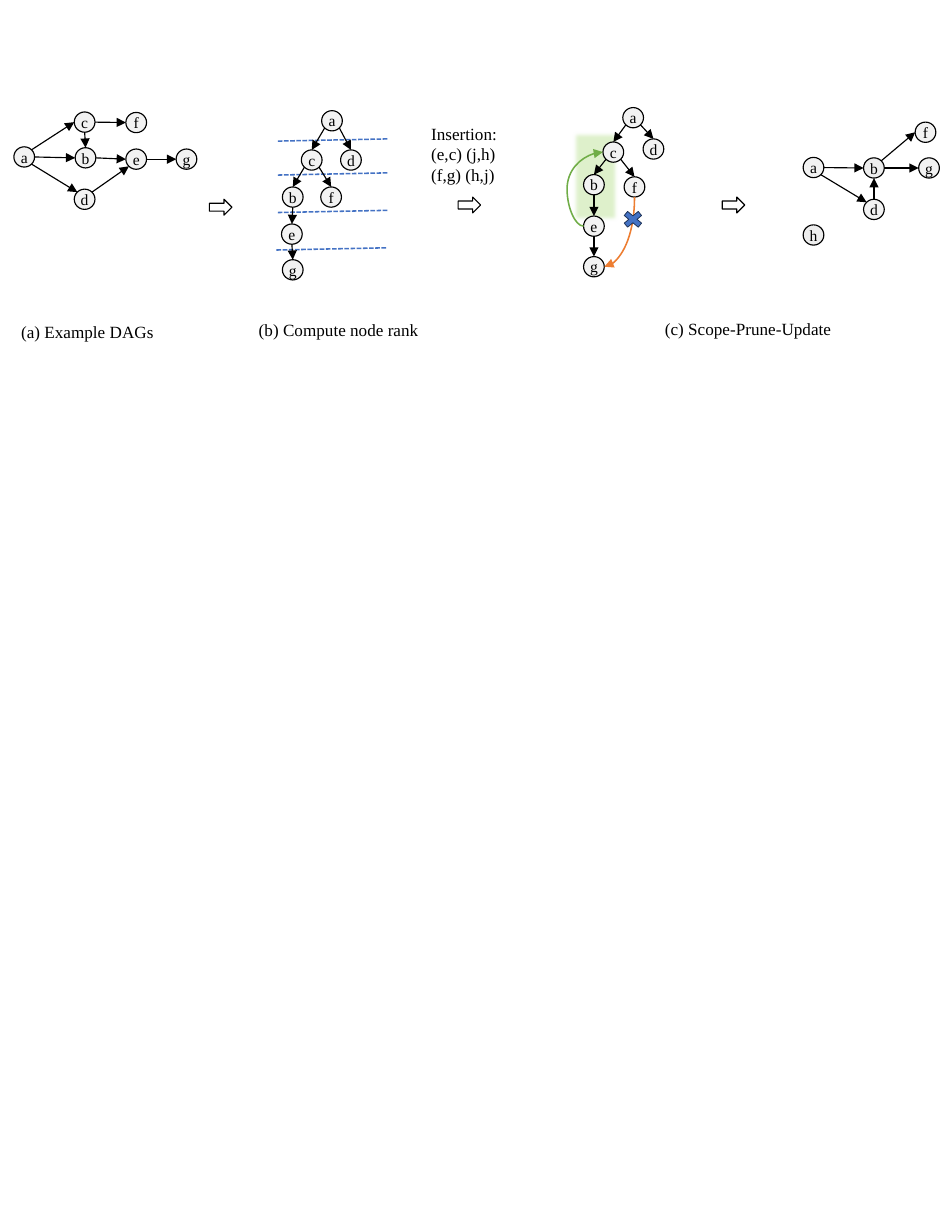
from math import cos, radians, sin

from lxml.etree import SubElement
from pptx import Presentation
from pptx.dml.color import RGBColor
from pptx.enum.dml import MSO_LINE
from pptx.enum.shapes import MSO_CONNECTOR, MSO_SHAPE
from pptx.enum.text import MSO_ANCHOR, PP_ALIGN
from pptx.oxml.ns import qn
from pptx.util import Cm, Pt

# Lengths are in centimetres; nodes are given by their centres.
FONT = "Times New Roman"
BLACK, NODE_GREY, DARK_GREY = "000000", "F2F2F2", "EDEDED"
BLUE, GREEN, ORANGE = "4472C4", "70AD47", "ED7D31"
NODE_W, NODE_H = 0.47, 0.46
ANGLES = {"E": 0, "SE": 45, "S": 90, "SW": 135, "W": 180, "NW": 225, "N": 270, "NE": 315}

TREE_EDGES = ["a SW c N", "a SE d N", "c SW b N", "c SE f N", "b S e N", "e S g N"]
DAG = {
    "nodes": {"a": (0.55, 3.56), "b": (1.94, 3.58), "c": (1.92, 2.77), "d": (1.92, 4.52),
              "e": (3.09, 3.61), "f": (3.09, 2.78), "g": (4.23, 3.61)},
    "edges": ["a NE c W", "a E b W", "a SE d NW", "c S b N", "c E f W",
              "b E e W", "d NE e SW", "e E g W"],
}
RANKED = {
    "nodes": {"a": (7.53, 2.74), "b": (6.64, 4.47), "c": (7.07, 3.63), "d": (7.96, 3.63),
              "e": (6.62, 5.31), "f": (7.51, 4.47), "g": (6.64, 6.12)},
    "edges": TREE_EDGES,
}
PRUNED = {
    "nodes": {"a": (14.36, 2.67), "b": (13.47, 4.19), "c": (13.91, 3.45), "d": (14.82, 3.38),
              "e": (13.47, 5.13), "f": (14.39, 4.24), "g": (13.47, 6.05)},
    "edges": TREE_EDGES,
}
UPDATED = {
    "nodes": {"a": (18.45, 3.8), "b": (19.82, 3.81), "d": (19.82, 4.75), "f": (20.99, 3.0),
              "g": (21.07, 3.81), "h": (18.45, 5.33)},
    "edges": ["a E b W", "a SE d NW", "b NE f W", "b E g W", "d N b S"],
    "dark": "bh",
}
RANK_LINES = [(6.3, 3.2), (6.3, 3.97), (6.3, 4.82), (6.27, 5.67)]
RANK_RUN, RANK_RISE = 2.49, 0.05
STEP_ARROWS = [(4.75, 4.52), (10.39, 4.47), (16.38, 4.47)]
SCOPE = [
    (14.33, 3.15), (13.79, 3.07), (13.56, 3.15), (13.39, 3.28), (13.21, 3.4), (13.06, 3.58),
    (12.95, 3.84), (12.88, 4.22), (12.85, 4.45), (12.85, 4.78), (12.93, 4.93), (13, 5.11),
    (13.16, 5.28), (13.34, 5.33), (13.61, 5.38), (13.74, 5.38), (13.87, 5.28), (13.92, 5.16),
    (13.91, 4.85), (13.92, 4.55), (14, 4.27), (14.1, 4.04), (14.22, 3.71), (14.33, 3.53),
    (14.38, 3.4), (14.38, 3.23),
]
TEXTS = [
    (["(a) Example DAGs"], (0.23, 7.16, 4.9, 0.74), PP_ALIGN.LEFT),
    (["(b) Compute node rank"], (4.85, 7.11, 5.66, 0.74), PP_ALIGN.CENTER),
    (["(c) Scope-Prune-Update"], (14.83, 7.09, 4.52, 0.74), PP_ALIGN.LEFT),
    (["Insertion:", "(e,c) (j,h)", "(f,g) (h,j)"], (9.53, 2.67, 2.11, 1.68), PP_ALIGN.LEFT),
]


def rgb(color):
    return RGBColor.from_string(color)


def cms(*values):
    return [Cm(value) for value in values]


def site(panel, node, side):
    """Point on the rim of a node in the given compass direction."""
    x, y = panel["nodes"][node]
    angle = radians(ANGLES[side])
    return x + NODE_W / 2 * cos(angle), y + NODE_H / 2 * sin(angle)


def add_line(shapes, start, end, color, width, kind=MSO_CONNECTOR.STRAIGHT, arrow=True):
    connector = shapes.add_connector(kind, *cms(*start, *end))
    connector.line.color.rgb = rgb(color)
    connector.line.width = Pt(width)
    if arrow:
        SubElement(connector.line._get_or_add_ln(), qn("a:tailEnd"), type="triangle")
    else:
        connector.line.dash_style = MSO_LINE.SQUARE_DOT
    SubElement(connector._element.spPr, qn("a:effectLst"))
    return connector


def style(shape, fill, line, width):
    shape.shadow.inherit = False
    if fill:
        shape.fill.solid()
        shape.fill.fore_color.rgb = rgb(fill)
    else:
        shape.fill.background()
    shape.line.color.rgb = rgb(line)
    shape.line.width = Pt(width)


def write(frame, lines, size, align):
    frame.word_wrap = True
    frame.text = "\n".join(lines)
    for paragraph in frame.paragraphs:
        paragraph.alignment = align
        paragraph.font.size = Pt(size)
        paragraph.font.name = FONT
        paragraph.font.color.rgb = rgb(BLACK)


def add_graph(slide, panel):
    shapes = slide.shapes.add_group_shape().shapes
    for edge in panel["edges"]:
        source, leave, target, enter = edge.split()
        add_line(shapes, site(panel, source, leave), site(panel, target, enter), BLACK, 0.75)
    for label, (x, y) in panel["nodes"].items():
        node = shapes.add_shape(
            MSO_SHAPE.OVAL, *cms(x - NODE_W / 2, y - NODE_H / 2, NODE_W, NODE_H))
        style(node, DARK_GREY if label in panel.get("dark", "") else NODE_GREY, BLACK, 0.75)
        frame = node.text_frame
        frame.margin_left = frame.margin_right = frame.margin_top = frame.margin_bottom = 0
        frame.vertical_anchor = MSO_ANCHOR.MIDDLE
        write(frame, [label], 10, PP_ALIGN.CENTER)


def add_scope(slide):
    """Pale green, see-through area with a soft rim around the affected nodes."""
    builder = slide.shapes.build_freeform(*SCOPE[0], scale=Cm(1))
    builder.add_line_segments(SCOPE[1:], close=True)
    scope = builder.convert_to_shape()
    style(scope, "92D050", DARK_GREY, 1)
    properties = scope._element.spPr
    SubElement(properties.find(".//" + qn("a:srgbClr")), qn("a:alpha"), val="30000")
    SubElement(properties.find(qn("a:effectLst")), qn("a:softEdge"), rad=str(Pt(2.5)))


def add_curves(slide):
    inserted = add_line(slide.shapes, site(PRUNED, "e", "W"), site(PRUNED, "c", "W"),
                        GREEN, 1, MSO_CONNECTOR.CURVE)
    guides = inserted._element.spPr.find(qn("a:prstGeom")).get_or_add_avLst()
    SubElement(guides, qn("a:gd"), name="adj1", fmla="val -85000")

    # A quarter curve turned by 90 degrees: its frame has the two spans swapped.
    (x1, y1), (x2, y2) = site(PRUNED, "f", "S"), site(PRUNED, "g", "E")
    middle_x, middle_y = (x1 + x2) / 2, (y1 + y2) / 2
    half_w, half_h = (y2 - y1) / 2, (x1 - x2) / 2
    cut = add_line(slide.shapes, (middle_x - half_w, middle_y - half_h),
                   (middle_x + half_w, middle_y + half_h), ORANGE, 1, MSO_CONNECTOR.CURVE)
    properties = cut._element.spPr
    properties.find(qn("a:prstGeom")).set("prst", "curvedConnector2")
    properties.find(qn("a:xfrm")).set("rot", "5400000")


def main():
    deck = Presentation()
    deck.slide_width, deck.slide_height = cms(21.59, 27.94)
    slide = deck.slides.add_slide(deck.slide_layouts[6])

    add_scope(slide)
    for x, y in RANK_LINES:
        add_line(slide.shapes, (x, y), (x + RANK_RUN, y - RANK_RISE), BLUE, 1, arrow=False)
    for lines, place, align in TEXTS:
        write(slide.shapes.add_textbox(*cms(*place)).text_frame, lines, 11, align)
    for panel in (DAG, RANKED, PRUNED, UPDATED):
        add_graph(slide, panel)
    add_curves(slide)
    cross = slide.shapes.add_shape(MSO_SHAPE.MATH_MULTIPLY, *cms(14.05, 4.72, 0.61, 0.51))
    style(cross, BLUE, "1E3256", 0.5)
    for x, y in STEP_ARROWS:
        arrow = slide.shapes.add_shape(MSO_SHAPE.RIGHT_ARROW, *cms(x, y, 0.51, 0.36))
        style(arrow, None, BLACK, 0.75)

    deck.save("out.pptx")


if __name__ == "__main__":
    main()
